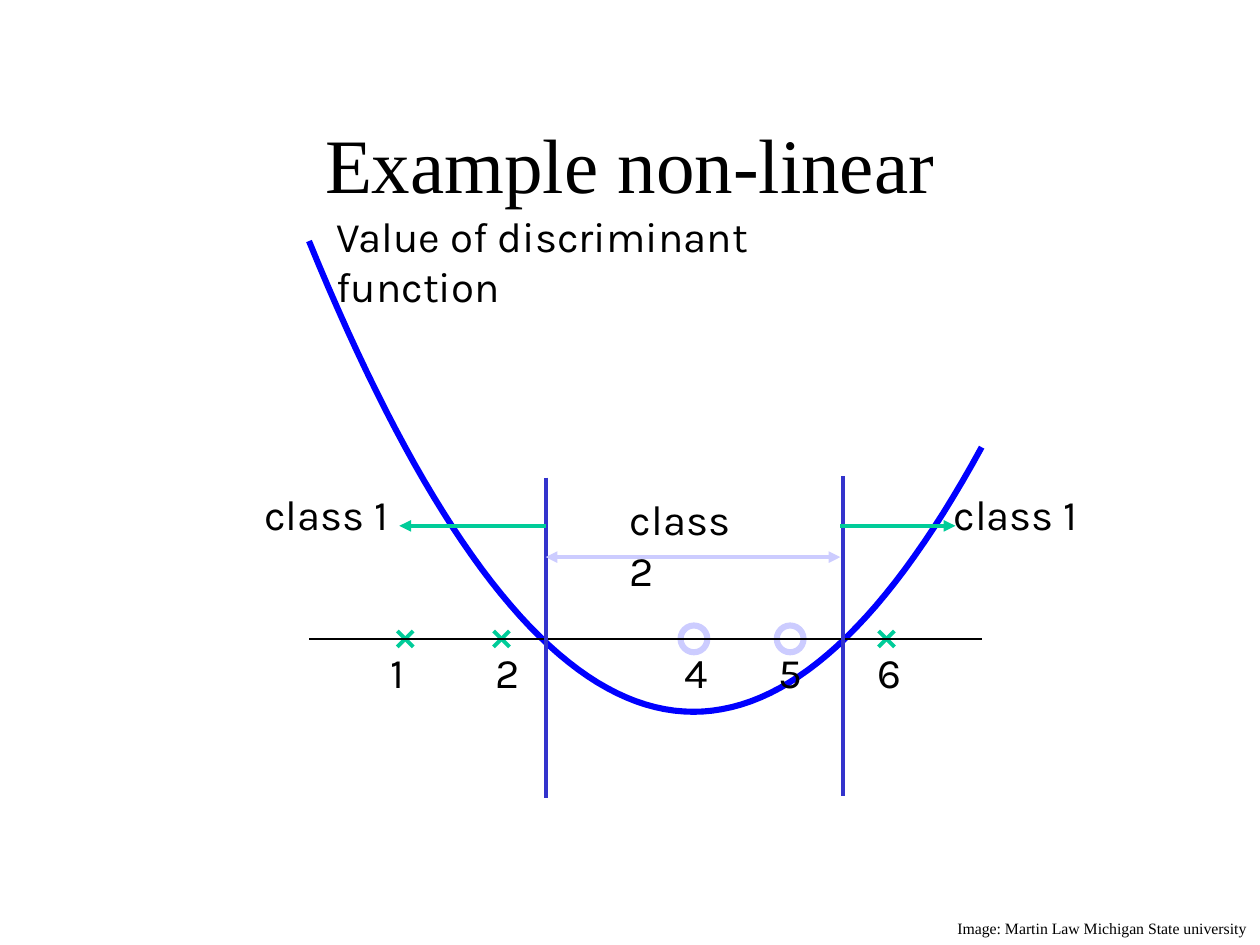
from pptx import Presentation
from pptx.dml.color import RGBColor
from pptx.enum.shapes import MSO_CONNECTOR, MSO_SHAPE
from pptx.enum.text import MSO_ANCHOR, PP_ALIGN
from pptx.oxml.ns import qn
from pptx.util import Cm, Pt
from lxml.etree import SubElement

theme = {
    "black": RGBColor(0, 0, 0),
    "blue": RGBColor(0x00, 0x00, 0xFF),
    "navy": RGBColor(0x33, 0x33, 0xCC),
    "green": RGBColor(0x00, 0xCC, 0x99),
    "lilac": RGBColor(0xCC, 0xCC, 0xFF),
    "serif": "Times New Roman",
    "sans": "Karla",
    "title": Pt(44),
    "label": Pt(24),
    "credit": Pt(9),
    "hair": Pt(0.75),
    "line": Pt(2.25),
    "bold": Pt(3.5),
}

deck = Presentation()
deck.slide_width, deck.slide_height = Cm(25.4), Cm(19.05)
slide = deck.slides.add_slide(deck.slide_layouts[6])
shapes = slide.shapes


def write(text, x, y, wide, high, size="label", font="sans"):
    box = shapes.add_textbox(Cm(x), Cm(y), Cm(wide), Cm(high))
    frame = box.text_frame
    frame.word_wrap = True
    run = frame.paragraphs[0].add_run()
    run.text = text
    run.font.size = theme[size]
    run.font.name = theme[font]
    run.font.color.rgb = theme["black"]
    return frame


def draw(x1, y1, x2, y2, color, width="line", ends=()):
    line = shapes.add_connector(
        MSO_CONNECTOR.STRAIGHT, Cm(x1), Cm(y1), Cm(x2), Cm(y2))
    line.line.color.rgb = theme[color]
    line.line.width = theme[width]
    for end in ends:
        SubElement(line.line._get_or_add_ln(), qn(end), type="triangle")
    SubElement(line._element.spPr, qn("a:effectLst"))


title = write("Example non-linear", 1.9, 1.7, 21.6, 3.18, "title", "serif")
title.vertical_anchor = MSO_ANCHOR.MIDDLE
title.paragraphs[0].alignment = PP_ALIGN.CENTER

left, right, axis, unit = 6.23, 19.79, 12.88, 1.94

arm = 0.16
for value in (1, 2, 6):
    x = left + unit * value
    for slope in (arm, -arm):
        draw(x - arm, axis - slope, x + arm, axis + slope, "green")

radius = 0.27
for value in (4, 5):
    x = left + unit * value
    ring = shapes.add_shape(
        MSO_SHAPE.OVAL, Cm(x - radius), Cm(axis - radius),
        Cm(2 * radius), Cm(2 * radius))
    ring.shadow.inherit = False
    ring.fill.background()
    ring.line.color.rgb = theme["lilac"]
    ring.line.width = theme["bold"]

mid, low, bend, steps = 13.98, 14.35, 0.158, 70
points = []
for step in range(steps + 1):
    x = left + (right - left) * step / steps
    points.append((Cm(x), Cm(low - bend * (x - mid) ** 2)))
path = shapes.build_freeform(*points[0], scale=1.0)
path.add_line_segments(points[1:], close=False)
curve = path.convert_to_shape()
curve.shadow.inherit = False
curve.fill.background()
curve.line.color.rgb = theme["blue"]
curve.line.width = theme["bold"]

draw(left, axis, right, axis, "black", "hair")

write("Value of discriminant function", 6.53, 4.11, 11.68, 2.31)
for digit, x in (("1", 7.62), ("2", 9.73), ("4", 13.54),
                 ("5", 15.44), ("6", 17.45)):
    write(digit, x, 12.9, 0.97, 1.27)

first, last = 11, 17
for x, top in ((first, 9.63), (last, 9.6)):
    draw(x, top, x, top + 6.45, "navy")

write("class 2", 12.45, 9.83, 2.95, 1.27)
for x in (18.97, 5.08):
    write("class 1", x, 9.73, 3.1, 1.27)

draw(first, 10.6, 8.05, 10.6, "green", ends=("a:tailEnd",))
draw(16.94, 10.6, 19.26, 10.6, "green", ends=("a:tailEnd",))
draw(first, 11.23, 16.94, 11.23, "lilac", ends=("a:headEnd", "a:tailEnd"))

write("Image: Martin Law Michigan State university",
      19.05, 18.39, 6.5, 0.64, "credit", "serif")

deck.save("out.pptx")
